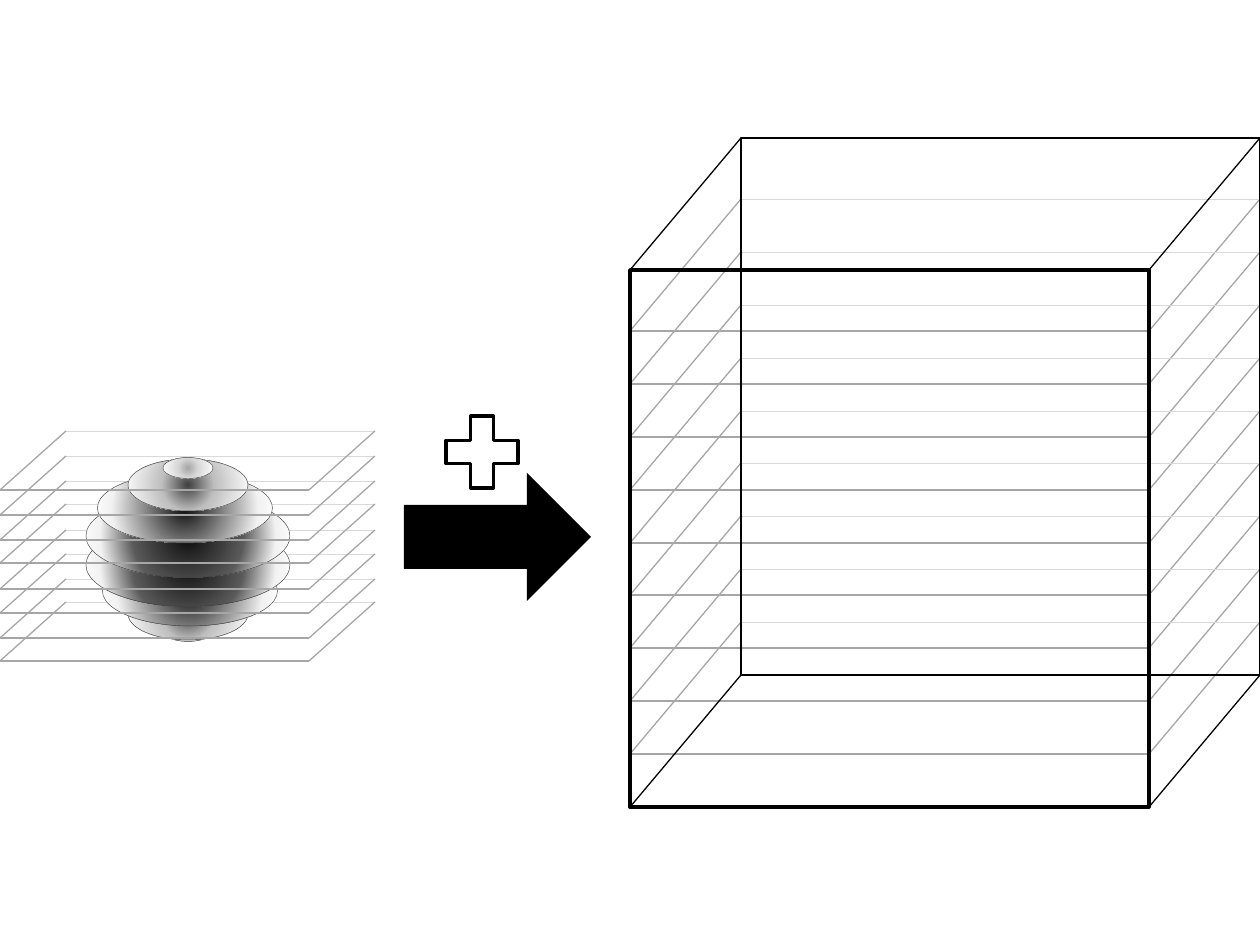
from dataclasses import dataclass

from lxml import etree
from pptx import Presentation
from pptx.dml.color import RGBColor
from pptx.enum.shapes import MSO_CONNECTOR, MSO_SHAPE
from pptx.oxml.ns import qn
from pptx.util import Inches, Pt

STRAIGHT = MSO_CONNECTOR.STRAIGHT
RECT, OVAL = MSO_SHAPE.RECTANGLE, MSO_SHAPE.OVAL
ARROW, PLUS = MSO_SHAPE.RIGHT_ARROW, MSO_SHAPE.MATH_PLUS
BLANK_LAYOUT = 6
SCALE = Inches(1) / 126


@dataclass(frozen=True)
class Theme:
    """Colours, and lines as (colour, points)."""
    ink: str = "000000"
    paper: str = "FFFFFF"
    edge: tuple = ("000000", 0.75)
    back_face: tuple = ("000000", 1)
    front_face: tuple = ("000000", 2)
    plane_back: tuple = ("D9D9D9", 0.25)
    plane_side: tuple = ("A6A6A6", 0.75)
    plane_front: tuple = ("A6A6A6", 1.5)
    disc_line: tuple = ("404040", 0.25)
    cap: tuple = ((0, "A6A6A6"), (39, "D9D9D9"), (100, "FFFFFF"))
    upper: tuple = ((0, "404040"), (40, "BFBFBF"), (100, "FFFFFF"))
    middle: tuple = ((0, "0D0D0D"), (78, "F2F2F2"), (100, "FFFFFF"))
    equator: tuple = ((0, "0D0D0D"), (50, "595959"), (80, "F2F2F2"),
                      (100, "FFFFFF"))


@dataclass(frozen=True)
class Oblique:
    """Front left edge, width, and the offset from front to back."""
    x: int
    w: int
    dx: int
    dy: int


THEME = Theme()
CUBE = Oblique(630, 519, 111, -132)
CUBE_TOP, CUBE_H = 270, 537
CUBE_PLANES = [331 + round(423 * i / 8) for i in range(9)]
STACK = Oblique(0, 309, 66, -59)
STACK_PLANES = (490, 515, 540, 563, 589, 613, 638, 661)
# centre x, centre y, width, height, gradient; bottom of the ball first
DISCS = (
    (188, 631, 50, 21, THEME.cap),
    (188, 614, 120, 52, THEME.upper),
    (190, 591, 175, 70, THEME.middle),
    (188, 565, 204, 83, THEME.equator),
    (188, 536, 204, 83, THEME.equator),
    (185, 508, 175, 70, THEME.middle),
    (188, 485, 120, 52, THEME.upper),
    (188, 468, 50, 21, THEME.cap),
)


def px(*values):
    return [round(v * SCALE) for v in values]


def set_line(line, style):
    color, width = style
    line.color.rgb = RGBColor.from_string(color)
    line.width = Pt(width)


def add_line(shapes, x1, y1, x2, y2, style):
    sp = shapes.add_connector(STRAIGHT, *px(x1, y1, x2, y2))
    set_line(sp.line, style)
    etree.SubElement(sp._element.spPr, qn("a:effectLst"))


def add_figure(shapes, kind, box, fill=None, line=None):
    sp = shapes.add_shape(kind, *px(*box))
    sp.shadow.inherit = False
    if fill:
        sp.fill.solid()
        sp.fill.fore_color.rgb = RGBColor.from_string(fill)
    else:
        sp.fill.background()
    if line:
        set_line(sp.line, line)
    else:
        sp.line.fill.background()
    return sp


def set_radial_fill(sp, stops):
    """Fill from the centre outwards; stops are (percent, colour)."""
    grad = etree.Element(qn("a:gradFill"), rotWithShape="1")
    stop_list = etree.SubElement(grad, qn("a:gsLst"))
    for percent, color in stops:
        stop = etree.SubElement(stop_list, qn("a:gs"), pos=str(percent * 1000))
        etree.SubElement(stop, qn("a:srgbClr"), val=color)
    path = etree.SubElement(grad, qn("a:path"), {"path": "circle"})
    etree.SubElement(path, qn("a:fillToRect"),
                     {side: "50000" for side in "ltrb"})
    old = sp._element.spPr.find(qn("a:noFill"))
    old.getparent().replace(old, grad)


def add_side_edges(shapes, view, y, style):
    for x in (view.x, view.x + view.w):
        add_line(shapes, x, y, x + view.dx, y + view.dy, style)


def add_plane_back(shapes, view, y):
    x, back_y = view.x + view.dx, y + view.dy
    add_line(shapes, x, back_y, x + view.w, back_y, THEME.plane_back)


def add_plane_front(shapes, view, y):
    add_side_edges(shapes, view, y, THEME.plane_side)
    add_line(shapes, view.x, y, view.x + view.w, y, THEME.plane_front)


def add_cube(shapes):
    for y in CUBE_PLANES:
        add_plane_front(shapes, CUBE, y)
        add_plane_back(shapes, CUBE, y)
    back = (CUBE.x + CUBE.dx, CUBE_TOP + CUBE.dy, CUBE.w, CUBE_H)
    front = (CUBE.x, CUBE_TOP, CUBE.w, CUBE_H)
    add_figure(shapes, RECT, back, line=THEME.back_face)
    add_figure(shapes, RECT, front, line=THEME.front_face)
    for y in (CUBE_TOP, CUBE_TOP + CUBE_H):
        add_side_edges(shapes, CUBE, y, THEME.edge)


def add_sliced_ball(shapes):
    for y in STACK_PLANES:
        add_plane_back(shapes, STACK, y)
    for cx, cy, w, h, stops in DISCS:
        box = (cx - w / 2, cy - h / 2, w, h)
        disc = add_figure(shapes, OVAL, box, line=THEME.disc_line)
        set_radial_fill(disc, stops)
    for y in STACK_PLANES:
        add_plane_front(shapes, STACK, y)


def main():
    prs = Presentation()
    prs.slide_width, prs.slide_height = px(1260, 945)
    s = prs.slides.add_slide(prs.slide_layouts[BLANK_LAYOUT])
    add_cube(s.shapes.add_group_shape().shapes)
    add_figure(s.shapes, ARROW, (404, 473, 187, 128), THEME.ink)
    add_figure(s.shapes, PLUS, (433, 403, 98, 98), THEME.paper,
               THEME.front_face)
    add_sliced_ball(s.shapes.add_group_shape().shapes)
    prs.save("out.pptx")


if __name__ == "__main__":
    main()
